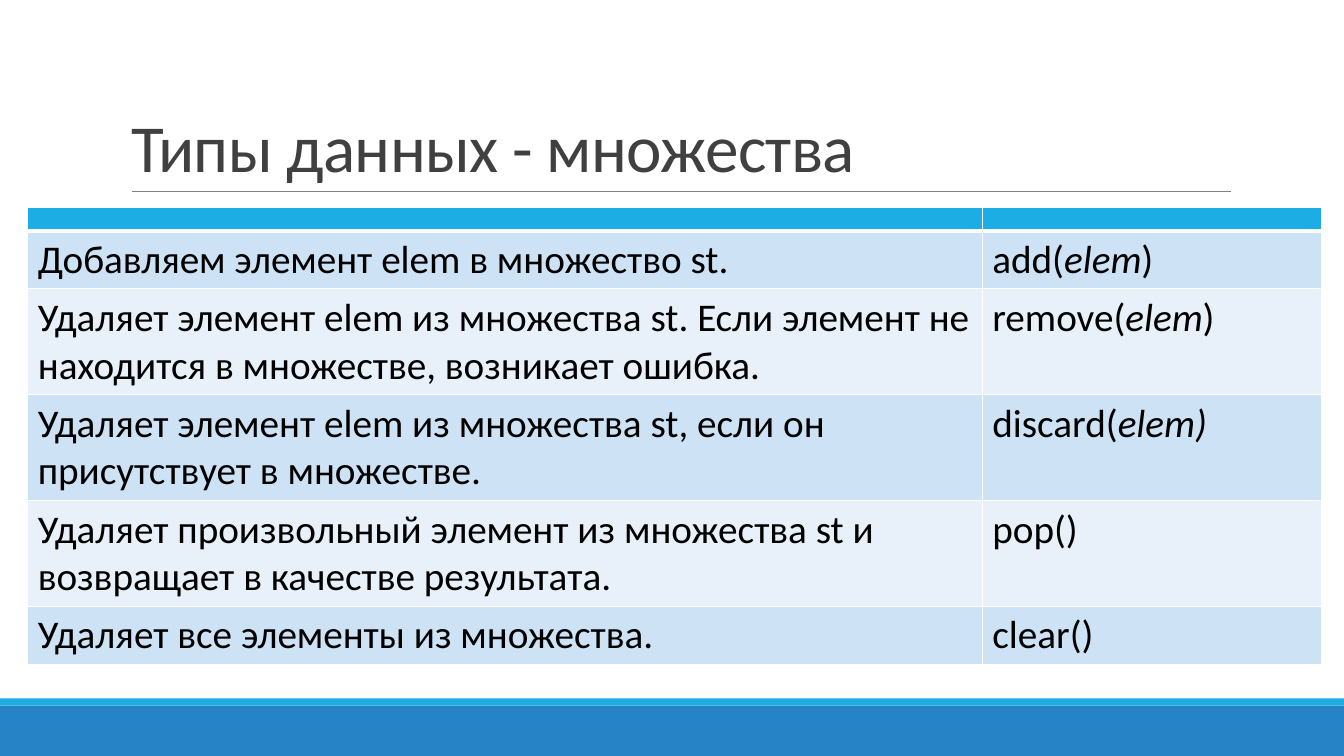
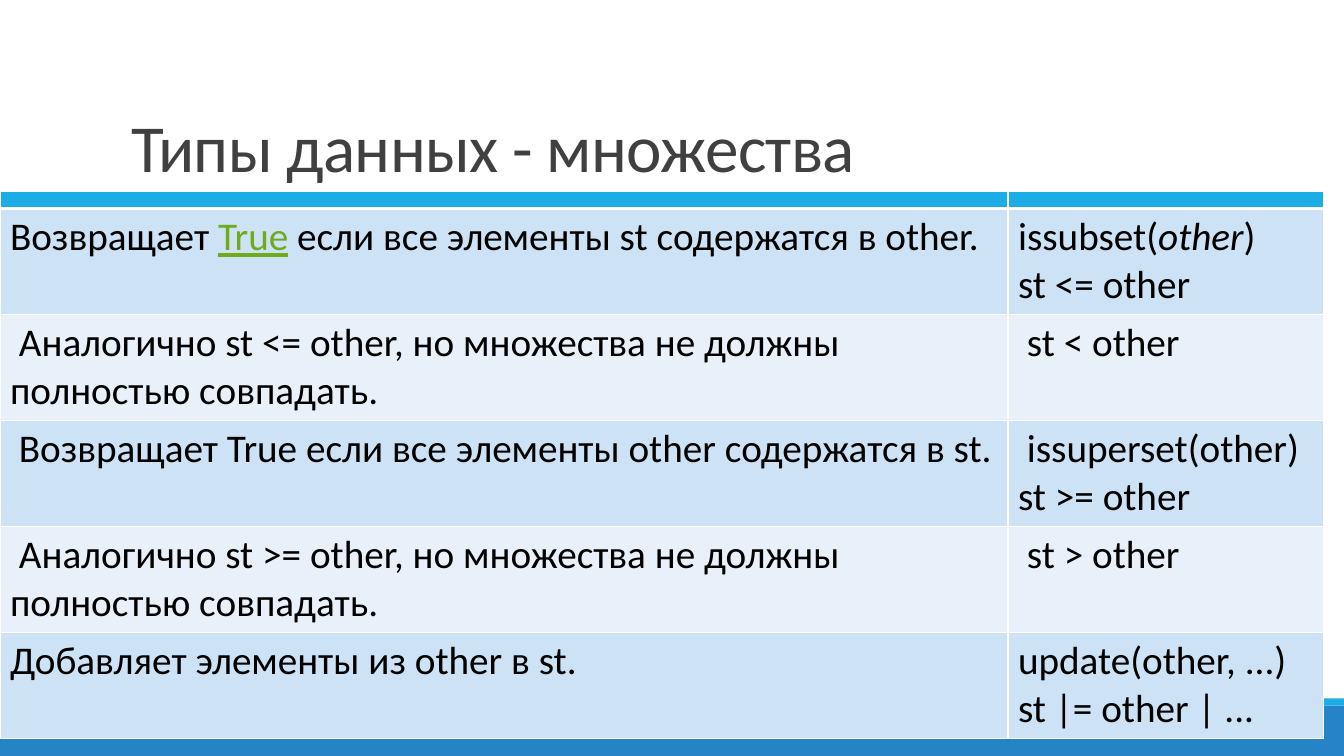
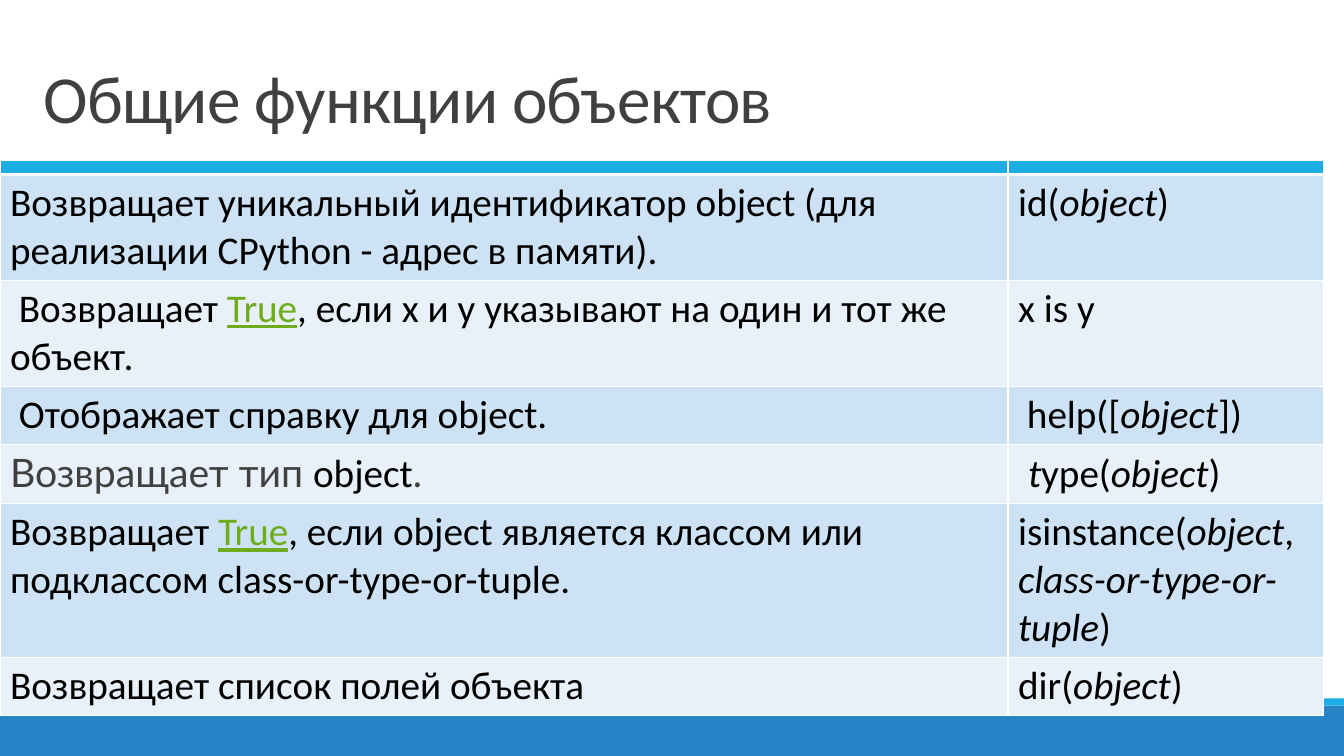
from dataclasses import dataclass

from lxml.etree import SubElement
from pptx import Presentation
from pptx.dml.color import RGBColor as RGB
from pptx.enum.shapes import MSO_CONNECTOR as Link, MSO_SHAPE as Form, PP_PLACEHOLDER as Holder
from pptx.enum.text import MSO_ANCHOR as Anchor, MSO_AUTO_SIZE as Fit, PP_ALIGN as Align
from pptx.oxml import parse_xml
from pptx.oxml.ns import nsdecls, qn
from pptx.util import Inches, Pt

WIDE, TALL = 133.33, 75  # grid of tenths of an inch
FONT, ALT = "Calibri", "Lato"
BLUE, SKY, GREY = "2683C6", "1CADE4", "808080"
DARK, BLACK, GREEN, WHITE = "404040", "000000", "6EAC1C", "FFFFFF"
BANDS = ("CDE3F5", "E8F1FA")
LINE, PAD = 4.75, 1  # height of a text line, and of both cell margins


@dataclass(frozen=True)
class Run:
    text: str
    font: str = FONT
    color: str = BLACK
    italic: bool = False
    under: bool = False


@dataclass(frozen=True)
class Row:
    """Each cell is a list of paragraphs, each paragraph a list of runs."""
    note: list
    call: list
    lines: int = 1


@dataclass(frozen=True)
class Page:
    title: str
    box: tuple
    spot: tuple
    cols: tuple
    head: float
    rows: list


def grid(*units: float) -> list:
    return [Inches(unit / 10) for unit in units]


def tint(code: str) -> RGB:
    return RGB.from_string(code)


def ital(text: str) -> Run:
    return Run(text, italic=True)


def call(name: str, arg: str, end: str = ")") -> list:
    return [[Run(name), ital(arg), Run(end)]]


def plain(*lines: str) -> list:
    return [[Run(line)] for line in lines]


def put(para, text: str, *, font: str = FONT, size: float = 28, color: str = BLACK,
        italic: bool = False, under: bool = False, track: int = 0) -> None:
    """Add one formatted run; track is in hundredths of a point."""
    run = para.add_run()
    run.text = text
    face = run.font
    face.name, face.size, face.italic, face.underline = font, Pt(size), italic, under
    face.color.rgb = tint(color)
    if track:
        run.font._element.set("spc", str(track))


def fill(cell, lines: list) -> None:
    frame = cell.text_frame
    for num, line in enumerate(lines):
        para = frame.add_paragraph() if num else frame.paragraphs[0]
        for run in line:
            put(para, run.text, font=run.font, color=run.color,
                italic=run.italic, under=run.under)


def edge(cell, foot: float) -> None:
    """Draw white cell borders; foot is the width of the lower one."""
    props = cell._tc.get_or_add_tcPr()
    for num, (side, width) in enumerate((("L", 1), ("R", 1), ("T", 1), ("B", foot))):
        props.insert(num, parse_xml(
            f'<a:ln{side} {nsdecls("a")} w="{Pt(width)}"><a:solidFill>'
            f'<a:srgbClr val="{WHITE}"/></a:solidFill></a:ln{side}>'))


def paint(cell, color: str, foot: float = 1) -> None:
    cell.fill.solid()
    cell.fill.fore_color.rgb = tint(color)
    edge(cell, foot)


def frame(slide, layout) -> None:
    """Draw the shared bands and rule, then move them to the layout."""
    for hold in list(layout.placeholders):
        if hold.placeholder_format.type != Holder.TITLE:
            hold.element.getparent().remove(hold.element)
    parts = []
    for top, high, color in ((70, 5, BLUE), (69.3, 0.7, SKY)):
        band = slide.shapes.add_shape(Form.RECTANGLE, *grid(0, top, WIDE, high))
        band.shadow.inherit = False
        band.fill.solid()
        band.fill.fore_color.rgb = tint(color)
        band.line.fill.background()
        parts.append(band)
    rule = slide.shapes.add_connector(Link.STRAIGHT, *grid(13.1, 19, 122.1, 19))
    rule.line.color.rgb, rule.line.width = tint(GREY), Pt(0.5)
    SubElement(rule.element.spPr, qn("a:effectLst"))
    for part in parts + [rule]:
        layout.shapes.element.append(part.element)


def head(slide, page: Page) -> None:
    title = slide.shapes.title
    title.left, title.top, title.width, title.height = grid(*page.box)
    text = title.text_frame
    text.word_wrap, text.auto_size = True, Fit.NONE
    text.vertical_anchor = Anchor.BOTTOM
    para = text.paragraphs[0]
    para.alignment, para.line_spacing = Align.LEFT, 0.85
    put(para, page.title, size=48, color=DARK, track=-50)


def table(slide, page: Page) -> None:
    highs = [page.head] + [row.lines * LINE + PAD for row in page.rows]
    shape = slide.shapes.add_table(
        len(highs), len(page.cols), *grid(*page.spot, sum(page.cols), sum(highs)))
    body = shape.table
    for col, wide in zip(body.columns, grid(*page.cols)):
        col.width = wide
    for row, high in zip(body.rows, grid(*highs)):
        row.height = high
    for cell in body.rows[0].cells:
        paint(cell, SKY, foot=3)
        cell.margin_top = cell.margin_bottom = 0
        SubElement(cell.text_frame.paragraphs[0]._p, qn("a:endParaRPr"), sz="400")
    for num, row in enumerate(page.rows):
        for cell, lines in zip(body.rows[num + 1].cells, (row.note, row.call)):
            paint(cell, BANDS[num % 2])
            fill(cell, lines)


TRUE = Run("True", color=GREEN, under=True)
SETS = "Типы данных - множества"
MAIN = (12, 3.1, 110, 15.9)
FULL = (100, 31.3)

PAGES = [
    Page(SETS, MAIN, (2.75, 20.6), (94.7, 33.7), 2.3, [
        Row(plain("Добавляем элемент elem в множество st."), call("add(", "elem")),
        Row(plain("Удаляет элемент elem из множества st. Если элемент не находится "
                  "в множестве, возникает ошибка."), call("remove(", "elem"), 2),
        Row(plain("Удаляет элемент elem из множества st, если он присутствует "
                  "в множестве."), [[Run("discard("), ital("elem)")]], 2),
        Row(plain("Удаляет произвольный элемент из множества st и возвращает "
                  "в качестве результата."), plain("pop()"), 2),
        Row(plain("Удаляет все элементы из множества."), plain("clear()")),
    ]),
    Page(SETS, MAIN, (0, 19), FULL, 1.7, [
        Row([[Run("Возвращает "), TRUE,
              Run(" если все элементы st содержатся в other.")]],
            call("issubset(", "other") + plain("st <= other"), 2),
        Row(plain(" Аналогично st <= other, но множества не должны полностью "
                  "совпадать."), plain(" st < other"), 2),
        Row(plain(" Возвращает True если все элементы other содержатся в st."),
            plain(" issuperset(other)", "st >= other"), 2),
        Row(plain(" Аналогично st >= other, но множества не должны полностью "
                  "совпадать."), plain(" st > other"), 2),
        Row(plain("Добавляет элементы из other в st."),
            plain("update(other, ...)", "st |= other | ..."), 2),
    ]),
    Page("Общие функции объектов", (3.3, 3.1, 118.7, 11), (0, 15.9), FULL, 1.4, [
        Row(plain("Возвращает уникальный идентификатор object (для реализации "
                  "CPython - адрес в памяти)."), call("id(", "object"), 2),
        Row([[Run(" Возвращает "), TRUE,
              Run(", если x и y указывают на один и тот же объект.")]],
            plain("x is y"), 2),
        Row(plain(" Отображает справку для object."), call(" help([", "object", "])")),
        Row([[Run("Возвращает тип ", ALT, DARK), Run("object"), Run(".", ALT, DARK)]],
            [[Run(" ", ALT, DARK), ital("t"), Run("ype("), ital("object"), Run(")")]]),
        Row([[Run("Возвращает "), TRUE, Run(", если object является классом или "
              "подклассом class-or-type-or-tuple.")]],
            [[Run("isinstance("), ital("object"), Run(", "),
              ital("class-or-type-or-tuple"), Run(")")]], 3),
        Row(plain("Возвращает список полей объекта"), call("dir(", "object")),
    ]),
]


def main() -> None:
    deck = Presentation()
    deck.slide_width, deck.slide_height = grid(WIDE, TALL)
    layout = deck.slide_layouts.get_by_name("Title Only")
    for num, page in enumerate(PAGES):
        slide = deck.slides.add_slide(layout)
        if num == 0:
            frame(slide, layout)
        head(slide, page)
        table(slide, page)
    deck.save("out.pptx")


if __name__ == "__main__":
    main()
